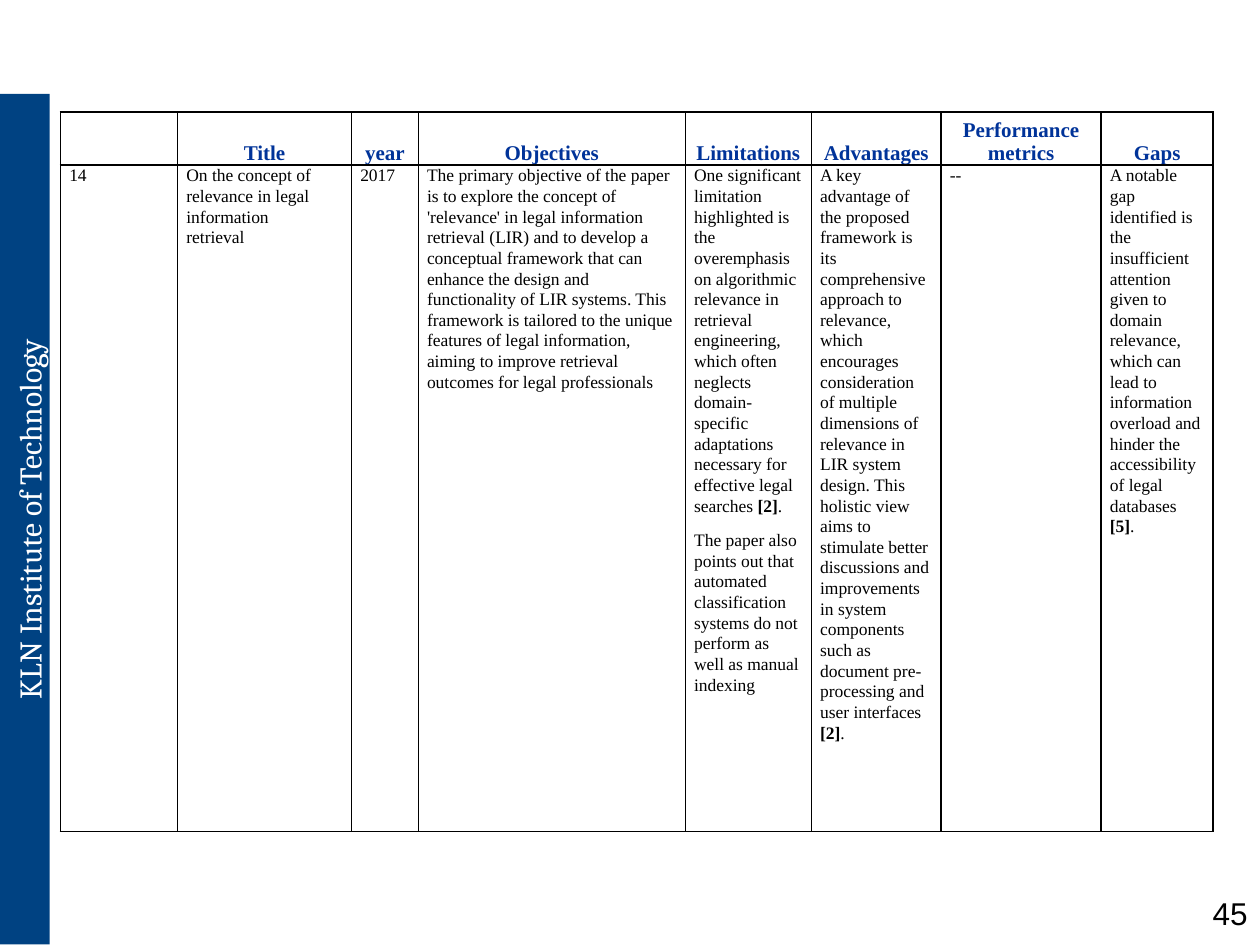
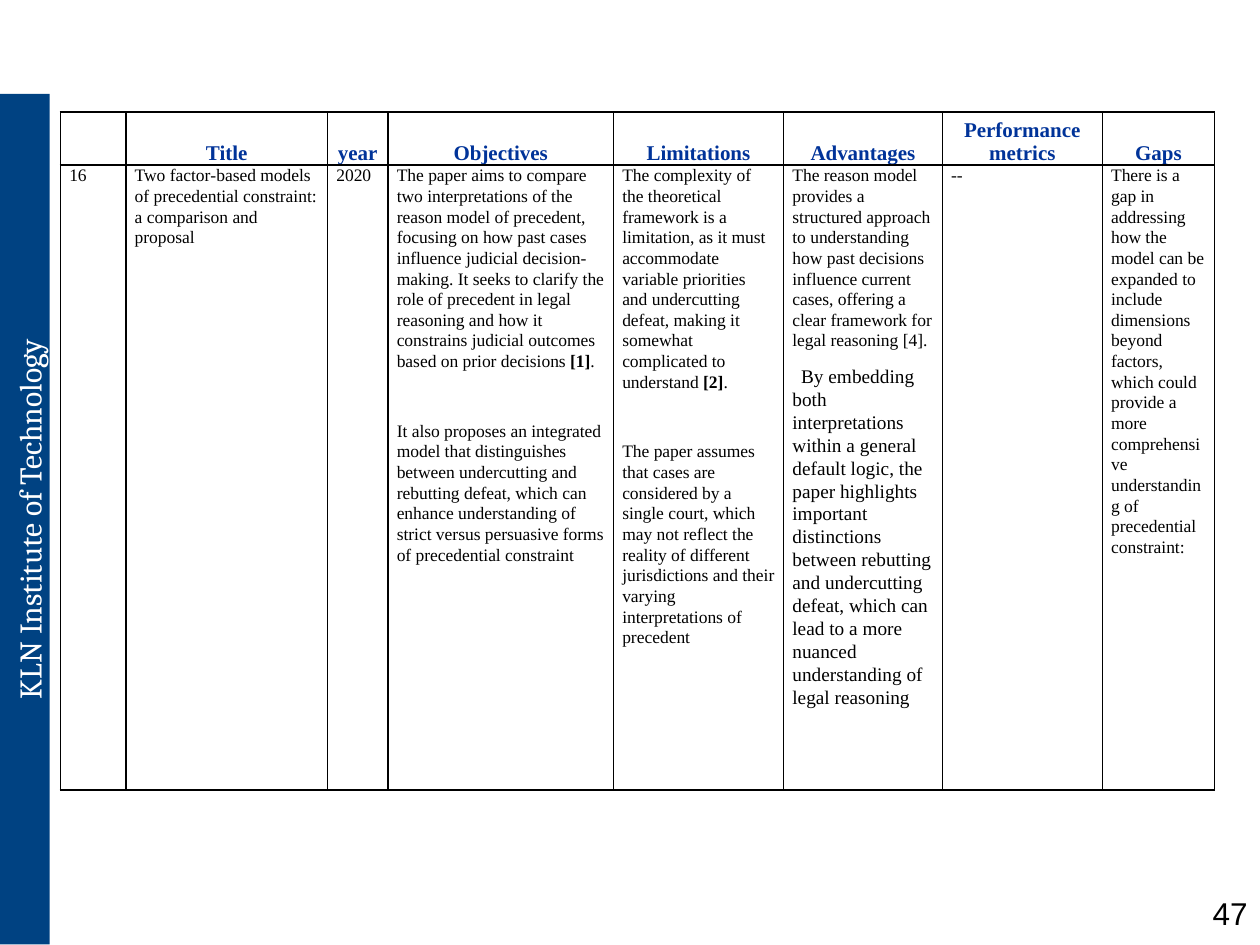
from lxml import etree
from pptx import Presentation
from pptx.dml.color import RGBColor
from pptx.enum.shapes import MSO_SHAPE
from pptx.enum.text import MSO_ANCHOR, PP_ALIGN
from pptx.oxml.ns import qn
from pptx.util import Inches, Pt

RECTANGLE = MSO_SHAPE.RECTANGLE
TOP, MIDDLE, BOTTOM = MSO_ANCHOR.TOP, MSO_ANCHOR.MIDDLE, MSO_ANCHOR.BOTTOM
LEFT, CENTER, RIGHT = PP_ALIGN.LEFT, PP_ALIGN.CENTER, PP_ALIGN.RIGHT

COLORS = {
    "band": "004282",
    "heading": "003399",
    "ink": "000000",
    "paper": "FFFFFF",
}
FONTS = {"band": "Cambria", "number": "Arial", "table": "Times New Roman"}
GRID_COLUMNS, GRID_ROWS = 100, 75
INSTITUTE = "KLN Institute of Technology"
HEADINGS = [
    "", "Title", "year", "Objectives", "Limitations", "Advantages",
    "Performance metrics", "Gaps",
]

REVIEWS = [
    {
        "page": "45",
        "columns": [9.3, 13.8, 5.3, 21.2, 10, 10.3, 12.7, 8.9],
        "body_rows": 52.9,
        "entries": [
            "14",
            "On the concept of relevance in legal information\nretrieval",
            "2017",
            "The primary objective of the paper is to explore the concept of "
            "'relevance' in legal information retrieval (LIR) and to develop a "
            "conceptual framework that can enhance the design and functionality "
            "of LIR systems. This framework is tailored to the unique features "
            "of legal information, aiming to improve retrieval outcomes for "
            "legal professionals",
            [
                "One significant limitation highlighted is the overemphasis on "
                "algorithmic relevance in retrieval engineering, which often "
                "neglects domain-specific adaptations necessary for effective "
                "legal searches **[2]**.",
                "The paper also points out that automated classification "
                "systems do not perform as well as manual indexing",
            ],
            "A key advantage of the proposed framework is its comprehensive "
            "approach to relevance, which encourages consideration of multiple "
            "dimensions of relevance in LIR system design. This holistic view "
            "aims to stimulate better discussions and improvements in system "
            "components such as document pre-processing and user "
            "interfaces **[2]**.",
            "--",
            "A notable gap identified is the insufficient attention given to "
            "domain relevance, which can lead to information overload and "
            "hinder the accessibility of legal databases **[5]**.",
        ],
    },
    {
        "page": "47",
        "columns": [5.2, 16, 4.8, 17.9, 13.5, 12.6, 12.7, 8.9],
        "body_rows": 49.6,
        "entries": [
            "16",
            "Two factor‑based models of precedential constraint: "
            "a comparison and proposal",
            "2020",
            [
                "The paper aims to compare two interpretations of the reason "
                "model of precedent, focusing on how past cases influence "
                "judicial decision-making. It seeks to clarify the role of "
                "precedent in legal reasoning and how it constrains judicial "
                "outcomes based on prior decisions **[1]**.",
                ("It also proposes an integrated model that distinguishes "
                 "between undercutting and rebutting defeat, which can enhance "
                 "understanding of strict versus persuasive forms of "
                 "precedential constraint", {"before": 20}),
            ],
            [
                "The complexity of the theoretical framework is a limitation, "
                "as it must accommodate variable priorities and undercutting "
                "defeat, making it somewhat complicated to understand **[2]**.",
                ("The paper assumes that cases are considered by a single "
                 "court, which may not reflect the reality of different "
                 "jurisdictions and their varying interpretations of precedent",
                 {"before": 20}),
            ],
            [
                "The reason model provides a structured approach to "
                "understanding how past decisions influence current cases, "
                "offering a clear framework for legal reasoning [4].",
                ("By embedding both interpretations within a general default "
                 "logic, the paper highlights important distinctions between "
                 "rebutting and undercutting defeat, which can lead to a more "
                 "nuanced understanding of legal reasoning",
                 {"size": 11, "indent": 5}),
            ],
            "--",
            "There is a gap in addressing how the model can be expanded to "
            "include dimensions beyond factors, which could provide a more "
            "comprehensive understanding of precedential constraint:",
        ],
    },
]


def format_paragraph(paragraph, text, font, size, color="ink", bold=False,
                     align=LEFT, spacing=1, before=0, after=0, indent=0):
    paragraph.alignment = align
    paragraph.line_spacing = spacing
    paragraph.space_before = Pt(before)
    paragraph.space_after = Pt(after)
    if indent:
        paragraph._p.get_or_add_pPr().set("indent", str(Pt(indent)))
    for part, passage in enumerate(text.split("**")):
        for line, words in enumerate(passage.split("\n")):
            if line:
                paragraph.add_line_break()
            run = paragraph.add_run()
            run.text = words
            run.font.name = FONTS[font]
            run.font.size = Pt(size)
            run.font.bold = bold or part % 2 == 1
            run.font.color.rgb = RGBColor.from_string(COLORS[color])


def write(frame, content, **style):
    frame.word_wrap = True
    paragraphs = content if isinstance(content, list) else [content]
    for index, item in enumerate(paragraphs):
        text, changes = item if isinstance(item, tuple) else (item, {})
        paragraph = frame.add_paragraph() if index else frame.paragraphs[0]
        format_paragraph(paragraph, text, **{**style, **changes})


class ReviewDeck:
    heading_style = {"font": "table", "size": 12, "color": "heading",
                     "bold": True, "align": CENTER}
    entry_style = {"font": "table", "size": 10, "spacing": 1.07, "after": 8}

    def __init__(self):
        self.deck = Presentation()
        self.deck.slide_width = Inches(10)
        self.deck.slide_height = Inches(7.5)
        self.slide = None

    def across(self, columns):
        return round(self.deck.slide_width * columns / GRID_COLUMNS)

    def down(self, rows):
        return round(self.deck.slide_height * rows / GRID_ROWS)

    def area(self, left, top, width, height):
        return (self.across(left), self.down(top),
                self.across(width), self.down(height))

    def new_slide(self):
        self.slide = self.deck.slides.add_slide(self.deck.slide_layouts[6])

    def side_band(self, text):
        band = self.slide.shapes.add_shape(
            RECTANGLE, *self.area(-31.8, 39.2, 67.5, 4))
        band.rotation = 270
        band.shadow.inherit = False
        band.fill.solid()
        band.fill.fore_color.rgb = RGBColor.from_string(COLORS["band"])
        band.line.fill.background()
        frame = band.text_frame
        frame.vertical_anchor = MIDDLE
        frame.margin_top, frame.margin_bottom = Inches(0.07), 0
        write(frame, text, font="band", size=18, color="paper", align=CENTER)

    def page_number(self, number):
        box = self.slide.shapes.add_textbox(*self.area(79.2, 70.5, 20.8, 3.4))
        write(box.text_frame, number, font="number", size=18, align=RIGHT)

    def cell_borders(self, cell):
        properties = cell._tc.get_or_add_tcPr()
        for side in ("lnL", "lnR", "lnT", "lnB"):
            border = etree.SubElement(
                properties, qn(f"a:{side}"), w=str(Pt(1)))
            fill = etree.SubElement(border, qn("a:solidFill"))
            etree.SubElement(fill, qn("a:srgbClr"), val=COLORS["ink"])

    def fill_cell(self, cell, content, margins, anchor, style):
        self.cell_borders(cell)
        cell.fill.background()
        cell.margin_left = cell.margin_right = Inches(margins[0])
        cell.margin_top, cell.margin_bottom = Inches(margins[1]), 0
        cell.vertical_anchor = anchor
        write(cell.text_frame, content, **style)

    def review_table(self, columns, body_rows, entries):
        heights = [4.2, body_rows]
        table = self.slide.shapes.add_table(
            len(heights), len(columns),
            *self.area(4.8, 8.9, sum(columns), sum(heights))).table
        table.first_row = table.horz_banding = False
        for row, height in zip(table.rows, heights):
            row.height = self.down(height)
        for index, width in enumerate(columns):
            table.columns[index].width = self.across(width)
            self.fill_cell(table.cell(0, index), HEADINGS[index],
                           (0.01, 0.01), BOTTOM, self.heading_style)
            self.fill_cell(table.cell(1, index), entries[index],
                           (0.07, 0), TOP, self.entry_style)

    def review_slide(self, page, **review):
        self.new_slide()
        self.side_band(INSTITUTE)
        self.page_number(page)
        self.review_table(**review)


def main():
    reviews = ReviewDeck()
    for review in REVIEWS:
        reviews.review_slide(**review)
    reviews.deck.save("out.pptx")


if __name__ == "__main__":
    main()
